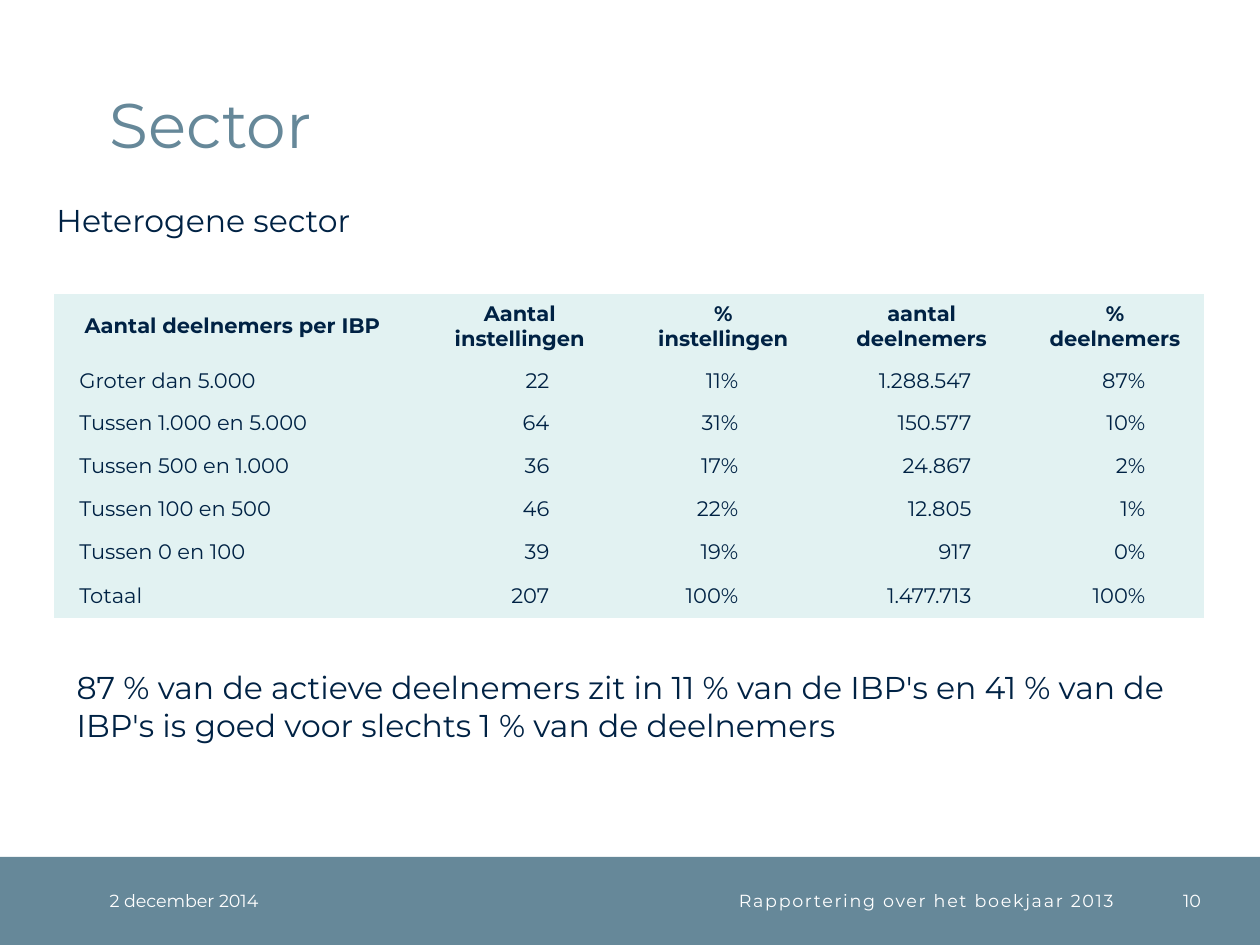
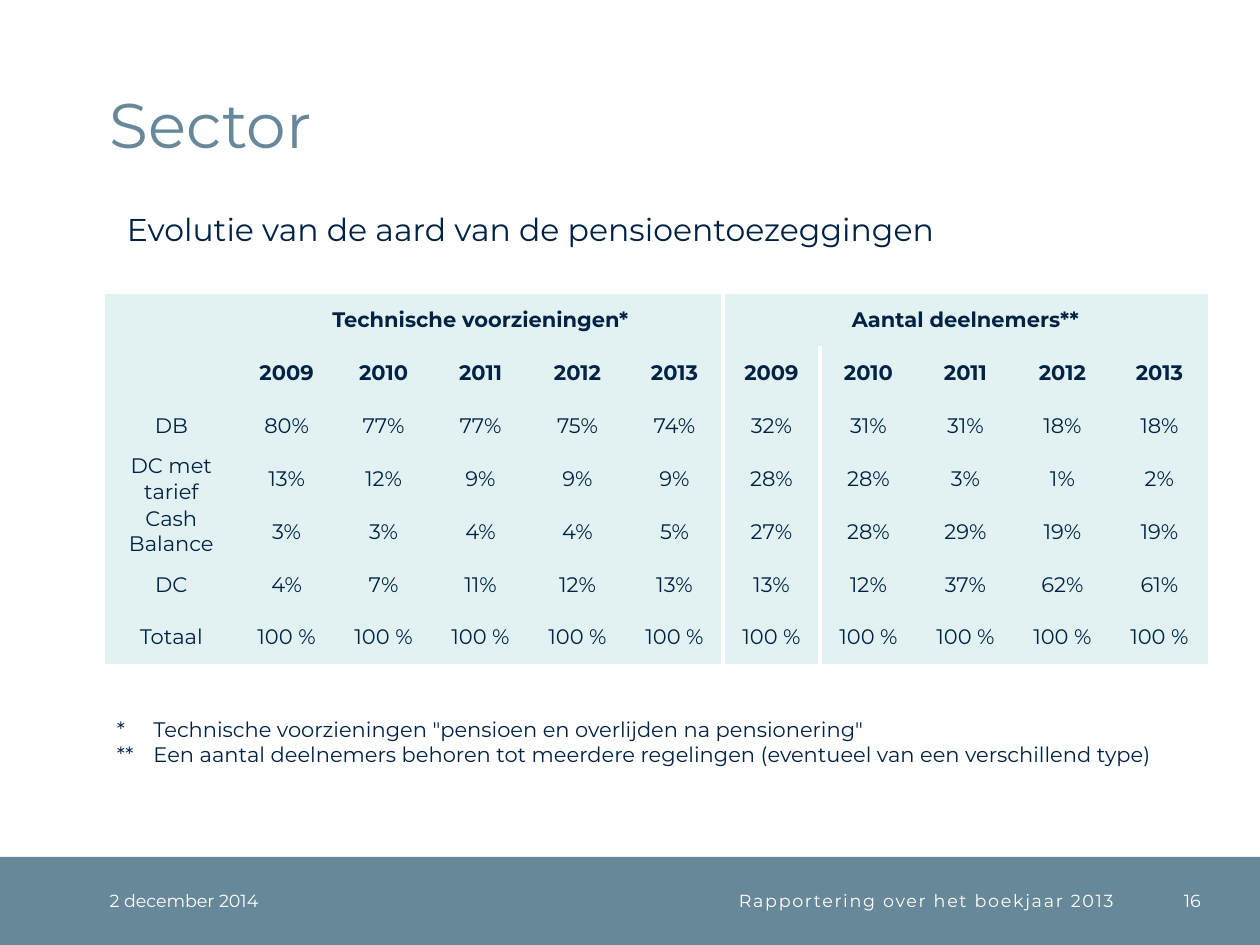
from dataclasses import dataclass
from lxml.etree import SubElement
from pptx import Presentation
from pptx.dml.color import RGBColor
from pptx.enum.shapes import MSO_SHAPE
from pptx.enum.text import MSO_ANCHOR, MSO_AUTO_SIZE, PP_ALIGN
from pptx.oxml import parse_xml
from pptx.oxml.ns import nsdecls, qn
from pptx.util import Inches, Pt

FONT = "Montserrat"
SLATE = RGBColor(0x66, 0x88, 0x99)
NAVY = RGBColor(0x00, 0x22, 0x44)
WHITE = RGBColor(0xFF, 0xFF, 0xFF)
PALE = RGBColor(0xE2, 0xF2, 0xF2)
NO_GRID_STYLE = "{2D5ABB26-0587-4C30-8999-92F81FD0307C}"
BAND_TOP, BAND_HEIGHT = 6.8, 0.7


@dataclass
class FooterPart:
    text: str
    left: float
    width: float
    align: PP_ALIGN = PP_ALIGN.RIGHT
    spacing: int = 0


@dataclass
class Note:
    lines: list[str]
    left: float
    top: float
    width: float
    height: float
    size: int = 18
    hanging: float = 0


@dataclass
class Grid:
    left: float
    top: float
    columns: list[float]
    rows: list[float]
    cells: list[list[str]]


DATE = FooterPart("2 december 2014", 0.87, 1.77, PP_ALIGN.LEFT)
REPORT = FooterPart("Rapportering over het boekjaar 2013", 2.64, 6.2, spacing=100)

PARTICIPANTS = Grid(
    0.43, 2.33, [2.83, 1.73, 1.5, 1.65, 1.42], [0.52] + [0.34] * 5 + [0.36],
    [
        ["Aantal deelnemers per IBP", "Aantal\ninstellingen", "%\ninstellingen",
         "aantal\ndeelnemers", "%\ndeelnemers"],
        ["Groter dan 5.000", "22", "11%", "1.288.547", "87%"],
        ["Tussen 1.000 en 5.000", "64", "31%", "150.577", "10%"],
        ["Tussen 500 en 1.000", "36", "17%", "24.867", "2%"],
        ["Tussen 100 en 500", "46", "22%", "12.805", "1%"],
        ["Tussen 0 en 100", "39", "19%", "917", "0%"],
        ["Totaal", "207", "100%", "1.477.713", "100%"],
    ],
)
NUMBER_MARGINS = [0, 0.63, 0.63, 0.43, 0.47]

YEARS = [str(year) for year in range(2009, 2014)]
COMMITMENTS = Grid(
    0.83, 2.33, [1.06] + [0.77] * 10, [0.42] * 7,
    [
        ["", "Technische voorzieningen*", "", "", "", "", "Aantal deelnemers**", "", "", "", ""],
        ["", *YEARS, *YEARS],
        ["DB", "80%", "77%", "77%", "75%", "74%", "32%", "31%", "31%", "18%", "18%"],
        ["DC met tarief", "13%", "12%", "9%", "9%", "9%", "28%", "28%", "3%", "1%", "2%"],
        ["Cash Balance", "3%", "3%", "4%", "4%", "5%", "27%", "28%", "29%", "19%", "19%"],
        ["DC", "4%", "7%", "11%", "12%", "13%", "13%", "12%", "37%", "62%", "61%"],
        ["Totaal"] + ["100 %"] * 10,
    ],
)


def style_paragraph(para, size: int, color: RGBColor, align=PP_ALIGN.LEFT, bold=False) -> None:
    para.alignment = align
    font = para.font
    font.name, font.size, font.bold = FONT, Pt(size), bold
    font.color.rgb = color


def clear_margins(frame) -> None:
    frame.margin_left = frame.margin_right = frame.margin_top = frame.margin_bottom = 0


def indent(para, left: float, first: float = 0) -> None:
    properties = para._p.get_or_add_pPr()
    properties.set("marL", str(Inches(left)))
    properties.set("indent", str(Inches(first)))


def add_footer_part(page, part: FooterPart) -> None:
    box = page.shapes.add_textbox(
        Inches(part.left), Inches(BAND_TOP), Inches(part.width), Inches(BAND_HEIGHT))
    frame = box.text_frame
    frame.word_wrap = True
    frame.vertical_anchor = MSO_ANCHOR.MIDDLE
    clear_margins(frame)
    para = frame.paragraphs[0]
    span = para.add_run()
    span.text = part.text
    if part.spacing:
        span._r.get_or_add_rPr().set("spc", str(part.spacing))
    style_paragraph(para, 10, WHITE, part.align)


def add_page(deck, number: int):
    page = deck.slides.add_slide(deck.slide_layouts[5])
    band = page.shapes.add_shape(
        MSO_SHAPE.RECTANGLE, 0, Inches(BAND_TOP), deck.slide_width, Inches(BAND_HEIGHT))
    band.shadow.inherit = False
    band.fill.solid()
    band.fill.fore_color.rgb = SLATE
    band.line.fill.background()
    for part in (DATE, REPORT, FooterPart(str(number), 9.04, 0.49)):
        add_footer_part(page, part)

    title = page.shapes.title
    title.left, title.top = Inches(0.87), Inches(0.2)
    title.width, title.height = Inches(8.63), Inches(1.08)
    frame = title.text_frame
    frame.text = "Sector"
    frame.auto_size = MSO_AUTO_SIZE.NONE
    frame.vertical_anchor = MSO_ANCHOR.BOTTOM
    clear_margins(frame)
    para = frame.paragraphs[0]
    para.line_spacing = Pt(32)
    style_paragraph(para, 36, SLATE)
    return page


def add_note(page, note: Note) -> None:
    box = page.shapes.add_textbox(
        Inches(note.left), Inches(note.top), Inches(note.width), Inches(note.height))
    frame = box.text_frame
    frame.word_wrap = True
    frame.auto_size = MSO_AUTO_SIZE.SHAPE_TO_FIT_TEXT
    frame.text = "\n".join(note.lines)
    for para in frame.paragraphs:
        if note.hanging:
            indent(para, note.hanging, -note.hanging)
        style_paragraph(para, note.size, NAVY)


def add_grid(page, grid: Grid, header_rows: int):
    table = page.shapes.add_table(
        len(grid.rows), len(grid.columns), Inches(grid.left), Inches(grid.top),
        Inches(sum(grid.columns)), Inches(sum(grid.rows))).table
    table.first_row = table.horz_banding = False
    table._tbl.tblPr.find(qn("a:tableStyleId")).text = NO_GRID_STYLE
    for column, width in zip(table.columns, grid.columns):
        column.width = Inches(width)
    for row, height in zip(table.rows, grid.rows):
        row.height = Inches(height)
    for row_index, texts in enumerate(grid.cells):
        for column_index, text in enumerate(texts):
            cell = table.cell(row_index, column_index)
            cell.fill.solid()
            cell.fill.fore_color.rgb = PALE
            cell.vertical_anchor = MSO_ANCHOR.MIDDLE
            clear_margins(cell)
            cell.text = text
            for para in cell.text_frame.paragraphs:
                style_paragraph(para, 12, NAVY, PP_ALIGN.CENTER, row_index < header_rows)
    return table


def align_numbers(table, margins: list[float]) -> None:
    for row in list(table.rows)[1:]:
        for cell, margin in zip(row.cells, margins):
            para = cell.text_frame.paragraphs[0]
            if margin:
                para.alignment = PP_ALIGN.RIGHT
                cell.margin_right = Inches(margin)
            else:
                para.alignment = PP_ALIGN.LEFT
                indent(para, 0.2)


def add_border(cell, side: str) -> None:
    line = parse_xml(f'<a:{side} {nsdecls("a")} w="{Pt(3)}"/>')
    fill = SubElement(line, qn("a:solidFill"))
    SubElement(fill, qn("a:srgbClr"), val=str(WHITE))
    cell._tc.get_or_add_tcPr().insert(0, line)


def build_participants(deck) -> None:
    page = add_page(deck, 10)
    add_note(page, Note(["Heterogene sector"], 0.35, 1.55, 3.23, 0.4))
    align_numbers(add_grid(page, PARTICIPANTS, 1), NUMBER_MARGINS)
    add_note(page, Note(
        ["87 % van de actieve deelnemers zit in 11 % van de IBP's en 41 % van de "
         "IBP's is goed voor slechts 1 % van de deelnemers"], 0.51, 5.25, 9.06, 0.71))


def build_commitments(deck) -> None:
    page = add_page(deck, 16)
    add_note(page, Note(
        ["Evolutie van de aard van de pensioentoezeggingen"], 0.91, 1.62, 8.43, 0.4))
    table = add_grid(page, COMMITMENTS, 2)
    for row in range(len(COMMITMENTS.rows)):
        add_border(table.cell(row, 5), "lnR")
        add_border(table.cell(row, 6), "lnL")
    add_border(table.cell(0, 1), "lnR")
    table.cell(0, 0).merge(table.cell(1, 0))
    for first in (1, 6):
        table.cell(0, first).merge(table.cell(0, first + 4))
    add_note(page, Note(
        ['*\tTechnische voorzieningen "pensioen en overlijden na pensionering"',
         "**\tEen aantal deelnemers behoren tot meerdere regelingen "
         "(eventueel van een verschillend type)"],
        0.83, 5.64, 8.74, 0.5, size=12, hanging=0.29))


def main() -> None:
    deck = Presentation()
    deck.slide_width, deck.slide_height = Inches(10), Inches(7.5)
    build_participants(deck)
    build_commitments(deck)
    deck.save("out.pptx")


if __name__ == "__main__":
    main()
